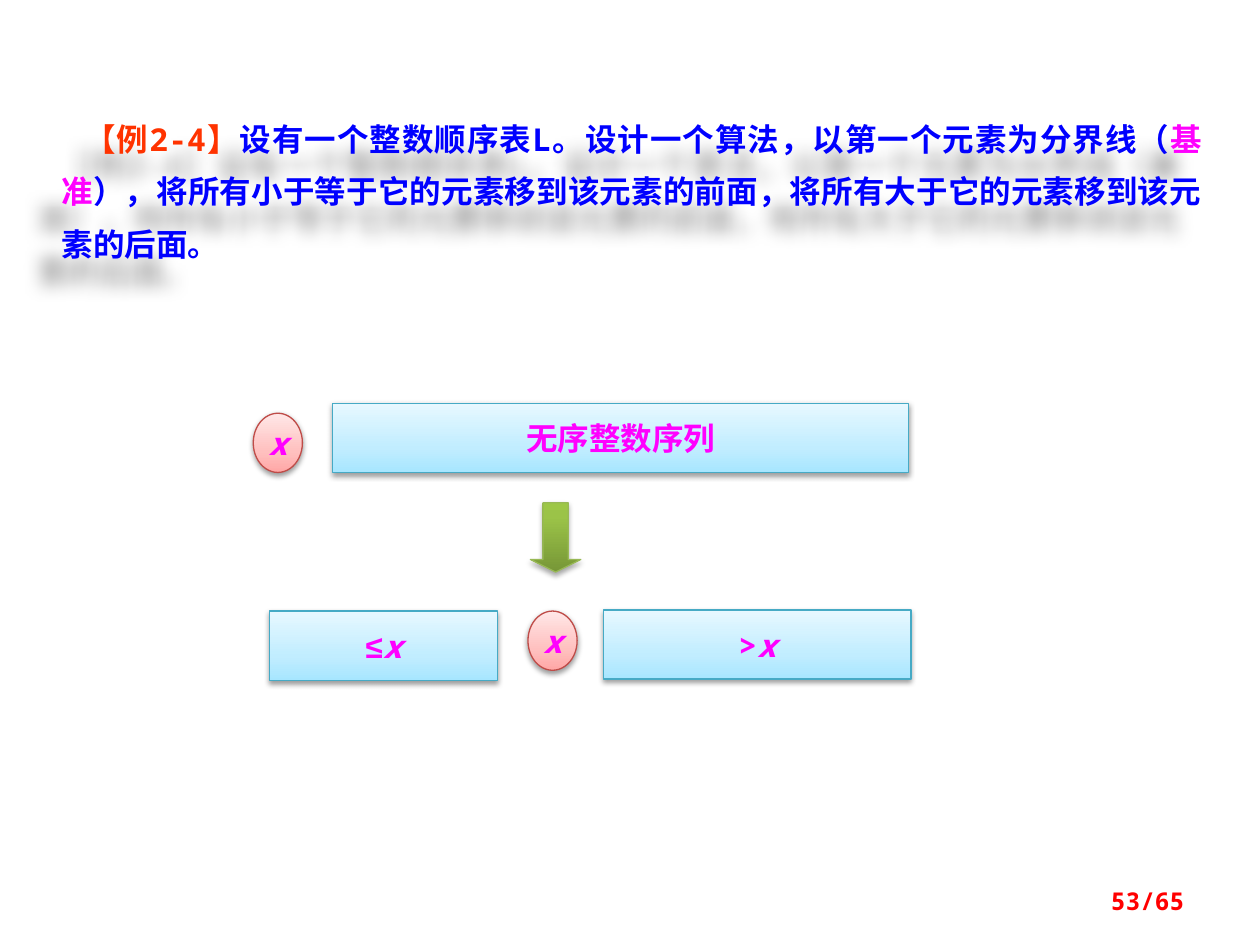
from copy import deepcopy
from lxml import etree
from pptx import Presentation
from pptx.dml.color import RGBColor
from pptx.enum import shapes, text
from pptx.oxml import ns
from pptx.util import Inches, Pt

MONO, CJK = "Noto Sans Mono", "Noto Sans CJK SC"
BLUE, MAGENTA, RED = "0000FF", "FF00FF", "FF0000"


def paint(color_format, color):
    color_format.rgb = RGBColor.from_string(color)


def add_shadow(shape, alpha, blur, distance, angle):
    shape.shadow.inherit = False
    effects = shape._element.spPr.find(ns.qn("a:effectLst"))
    shadow = etree.SubElement(
        effects, ns.qn("a:outerShdw"), blurRad=str(Pt(blur)), dist=str(Pt(distance)),
        dir=str(angle * 60000), algn="ctr", rotWithShape="0")
    black = etree.SubElement(shadow, ns.qn("a:srgbClr"), val="000000")
    etree.SubElement(black, ns.qn("a:alpha"), val=str(alpha * 1000))


deck = Presentation()
deck.slide_width, deck.slide_height = Inches(10), Inches(7.5)
page = deck.slides.add_slide(deck.slide_layouts[6])

problem = page.shapes.add_textbox(Inches(0.39), Inches(0.78), Inches(9.25), Inches(1.33))
add_shadow(problem, 35, 10, 20, 135)
problem.text_frame.word_wrap = True
para = problem.text_frame.paragraphs[0]
para.alignment = text.PP_ALIGN.JUSTIFY
para.line_spacing = 1.4
para._p.get_or_add_pPr().set("indent", str(Inches(0.18)))
para.font.size, para.font.bold, para.font.name = Pt(18), True, MONO
for words, color in [
    ("【例2-4】", "FF3300"),
    ("设有一个整数顺序表L。设计一个算法，以第一个元素为分界线（", BLUE),
    ("基准", MAGENTA),
    ("），将所有小于等于它的元素移到该元素的前面，将所有大于它的元素移到该元素的后面。", BLUE),
]:
    span = para.add_run()
    span.text = words
    paint(span.font.color, color)

OVAL, RECT, ARROW = (shapes.MSO_SHAPE.OVAL, shapes.MSO_SHAPE.RECTANGLE,
                     shapes.MSO_SHAPE.DOWN_ARROW)
styles = {
    OVAL: ("BF4C48", [(0, "FFA6A5"), (0.35, "FFC0BF"), (1, "FFE7E7")], 38, 1.6),
    RECT: ("46AAC5", [(0, "A7E6FF"), (0.35, "C1EDFF"), (1, "E7F8FF")], 38, 1.6),
    ARROW: ("98B955", [(0, "779737"), (0.8, "9BC348"), (1, "9DC746")], 35, 1.8),
}
pivot = [("x", MONO, True)]
steps = [
    (OVAL, 2.01, 3.28, 0.39, 0.47, pivot),
    (RECT, 2.64, 3.2, 4.57, 0.55, [("无序整数序列", CJK, False)]),
    (ARROW, 4.21, 3.99, 0.4, 0.55, []),
    (RECT, 2.14, 4.85, 1.81, 0.55, [("≤", "Arial", False)] + pivot),
    (OVAL, 4.19, 4.85, 0.39, 0.47, pivot),
    (RECT, 4.79, 4.84, 2.44, 0.55, [(">", MONO, False)] + pivot),
]
for kind, left, top, width, height, label in steps:
    box = page.shapes.add_shape(kind, Inches(left), Inches(top), Inches(width), Inches(height))
    if kind == ARROW:
        box.adjustments[0], box.adjustments[1] = 0.5, 0.25
    outline, stops, alpha, distance = styles[kind]
    box.fill.gradient()
    box.fill.gradient_angle = 90
    stop_list = box._element.spPr.find(".//" + ns.qn("a:gsLst"))
    stop_list.append(deepcopy(stop_list[0]))
    for stop, (position, color) in zip(box.fill.gradient_stops, stops):
        stop.position = position
        paint(stop.color, color)
    paint(box.line.color, outline)
    box.line.width = Pt(0.75)
    add_shadow(box, alpha, 3.1, distance, 90)
    if not label:
        continue
    box.text_frame.word_wrap = False
    box.text_frame.vertical_anchor = text.MSO_ANCHOR.MIDDLE
    para = box.text_frame.paragraphs[0]
    para.alignment = text.PP_ALIGN.CENTER
    para.font.size, para.font.bold = Pt(18), True
    paint(para.font.color, MAGENTA)
    for words, font, italic in label:
        span = para.add_run()
        span.text = words
        span.font.name, span.font.italic = font, italic

page_number = page.shapes.add_textbox(Inches(7.17), Inches(6.95), Inches(2.33), Inches(0.4))
page_number.text_frame.word_wrap = True
page_number.text_frame.vertical_anchor = text.MSO_ANCHOR.MIDDLE
para = page_number.text_frame.paragraphs[0]
para.text = "53/65"
para.alignment = text.PP_ALIGN.RIGHT
para.font.size, para.font.bold, para.font.name = Pt(14), True, MONO
paint(para.font.color, RED)

deck.save("out.pptx")
